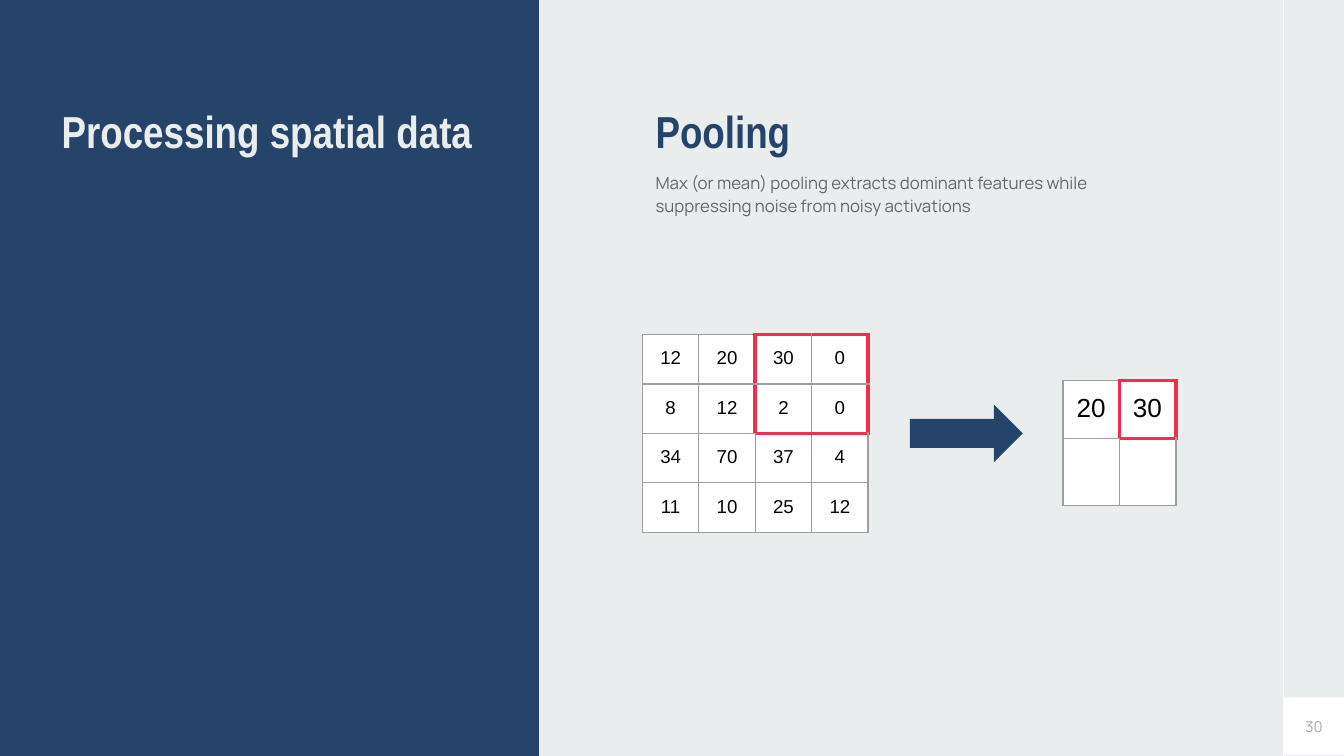
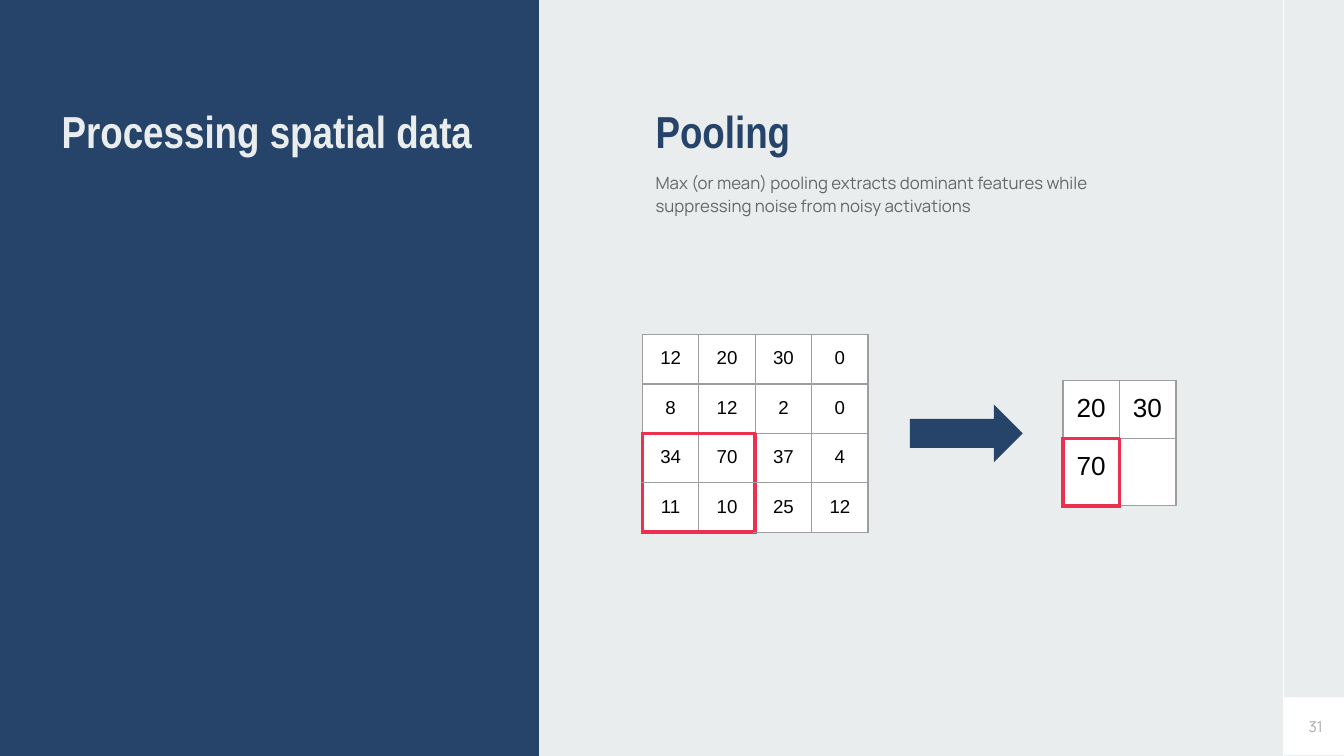
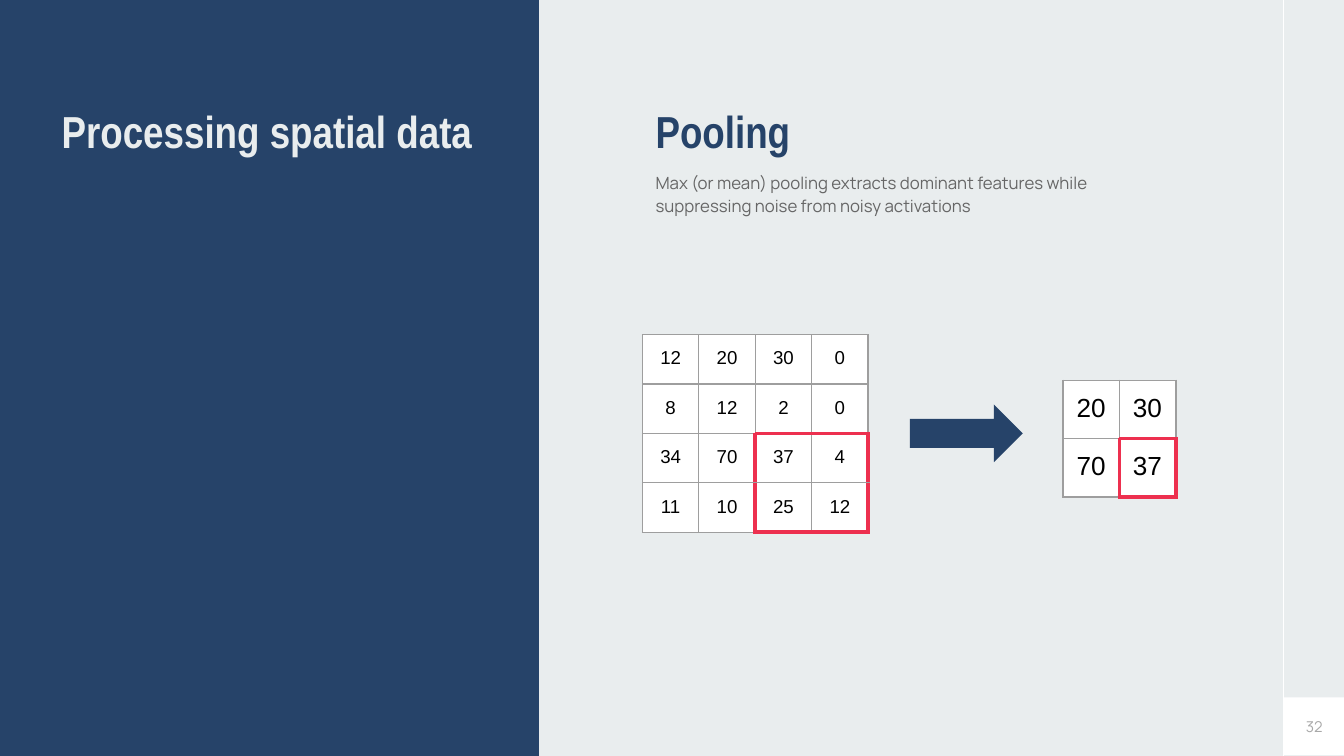
from dataclasses import dataclass

from lxml import etree
from pptx import Presentation
from pptx import util as u
from pptx.dml.color import RGBColor
from pptx.enum import shapes, text
from pptx.oxml.ns import qn


@dataclass(frozen=True)
class Theme:
    navy: str = "264369"
    pale: str = "E9EDEE"
    white: str = "FFFFFF"
    black: str = "000000"
    body: str = "666666"
    mute: str = "A8A8A8"
    grid: str = "9E9E9E"
    mark: str = "ED304F"
    head: str = "Arial Narrow"
    prose: str = "Manrope"
    digit: str = "Arial"
    title: int = 24
    note: int = 9
    page: int = 8
    input: int = 10
    pool: int = 14
    blank: int = 18
    thin: float = 0.75
    thick: float = 2.25


T = Theme()
PAD = u.Inches(0.1)
PLAIN = "{2D5ABB26-0587-4C30-8999-92F81FD0307C}"
INPUT = [[12, 20, 30, 0], [8, 12, 2, 0], [34, 70, 37, 4], [11, 10, 25, 12]]
SIDES = {"L": (0, -1), "R": (0, 1), "T": (-1, 0), "B": (1, 0)}
STEPS = [(30, 0, 1), (31, 1, 0), (32, 1, 1)]


def color(code):
    return RGBColor.from_string(code)


def inches(*vals):
    return [u.Inches(val) for val in vals]


def style(para, face, size, code, bold=False):
    font = para.font
    font.name = face
    font.size = u.Pt(size)
    font.bold = bold
    font.color.rgb = color(code)


def add_text(slide, box, words, face, size, code, bold=False):
    frame = slide.shapes.add_textbox(*inches(*box)).text_frame
    frame.word_wrap = True
    frame.margin_left = frame.margin_right = PAD
    frame.margin_top = frame.margin_bottom = PAD
    para = frame.paragraphs[0]
    para.text = words
    style(para, face, size, code, bold)
    return frame


def add_block(slide, kind, box, code):
    shape = slide.shapes.add_shape(kind, *inches(*box))
    shape.shadow.inherit = False
    shape.fill.solid()
    shape.fill.fore_color.rgb = color(code)
    shape.line.fill.background()


def add_rule(slide, ends):
    rule = slide.shapes.add_connector(
        shapes.MSO_CONNECTOR.STRAIGHT, *inches(*ends))
    rule.line.color.rgb = color(T.white)
    rule.line.width = u.Pt(T.thin)
    etree.SubElement(rule._element.spPr, qn("a:effectLst"))


def add_edge(cell, side, code, width):
    props = cell._tc.get_or_add_tcPr()
    edge = etree.SubElement(props, qn("a:ln" + side), w=str(u.Pt(width)))
    fill = etree.SubElement(edge, qn("a:solidFill"))
    etree.SubElement(fill, qn("a:srgbClr"), val=code)


def size_blank(para):
    end = etree.SubElement(para._p, qn("a:endParaRPr"), sz=str(T.blank * 100))
    etree.SubElement(end, qn("a:latin"), typeface=T.digit)


def add_grid(slide, left, top, high, rows, size, align, window):
    count = len(rows)
    frame = slide.shapes.add_table(
        count, count, *inches(left, top, 3.28, 3.28))
    table = frame.table
    table.first_row = table.horz_banding = False
    table._tbl.tblPr.find(qn("a:tableStyleId")).text = PLAIN
    for line in table.rows:
        line.height = u.Inches(high)
    for col in table.columns:
        col.width = u.Inches(0.42)
    frame.width = frame.height = u.Inches(3.28)
    for r, row in enumerate(rows):
        for c, val in enumerate(row):
            cell = table.cell(r, c)
            cell.margin_left = cell.margin_right = PAD
            cell.margin_top = cell.margin_bottom = PAD
            for side, (down, over) in SIDES.items():
                rim = ((r, c) in window) != ((r + down, c + over) in window)
                add_edge(cell, side, T.mark if rim else T.grid,
                         T.thick if rim else T.thin)
            cell.fill.solid()
            cell.fill.fore_color.rgb = color(T.white)
            para = cell.text_frame.paragraphs[0]
            if val is None:
                size_blank(para)
                continue
            para.text = str(val)
            para.alignment = align
            style(para, T.digit, size, T.black)


def add_frame(slide, page):
    rect = shapes.MSO_SHAPE.RECTANGLE
    add_block(slide, rect, (-0.05, -0.03, 4.06, 5.74), T.navy)
    add_block(slide, rect, (9.55, 5.19, 0.45, 0.43), T.white)
    add_rule(slide, (9.55, 5.63, 9.55, -0.01))
    add_text(slide, (0.36, 0.67, 3.51, 4.02), "Processing spatial data",
             T.head, T.title, T.pale, True)
    frame = add_text(slide, (9.34, 5.19, 0.6, 0.43), str(page),
                     T.prose, T.page, T.mute)
    frame.vertical_anchor = text.MSO_ANCHOR.MIDDLE
    frame.paragraphs[0].alignment = text.PP_ALIGN.RIGHT


def add_topic(slide):
    note = add_text(
        slide, (4.78, 1.16, 3.97, 0.55),
        "Max (or mean) pooling extracts dominant features while "
        "suppressing noise from noisy activations",
        T.prose, T.note, T.body).paragraphs[0]
    note.line_spacing = 1.15
    note.space_after = u.Pt(16)
    add_text(slide, (4.78, 0.67, 4.33, 0.62), "Pooling",
             T.head, T.title, T.navy, True)


def pool_to(row, col):
    pooled = [[None, None], [None, None]]
    for r in range(2):
        for c in range(2):
            if (r, c) <= (row, col):
                pooled[r][c] = max(
                    max(line[2 * c:2 * c + 2])
                    for line in INPUT[2 * r:2 * r + 2])
    return pooled


def add_pooling(slide, row, col):
    window = {(2 * row + r, 2 * col + c) for r in range(2) for c in range(2)}
    add_grid(slide, 4.78, 2.49, 0.21, INPUT, T.input,
             text.PP_ALIGN.CENTER, window)
    add_grid(slide, 7.91, 2.83, 0.2, pool_to(row, col), T.pool,
             text.PP_ALIGN.LEFT, {(row, col)})
    add_block(slide, shapes.MSO_SHAPE.RIGHT_ARROW,
              (6.77, 3.01, 0.84, 0.43), T.navy)


def main():
    deck = Presentation()
    deck.slide_width = u.Inches(10)
    deck.slide_height = deck.slide_width * 9 // 16
    back = deck.slide_master.background.fill
    back.solid()
    back.fore_color.rgb = color(T.pale)
    for page, row, col in STEPS:
        slide = deck.slides.add_slide(deck.slide_layouts[6])
        add_frame(slide, page)
        add_topic(slide)
        add_pooling(slide, row, col)
    deck.save("out.pptx")


if __name__ == "__main__":
    main()
